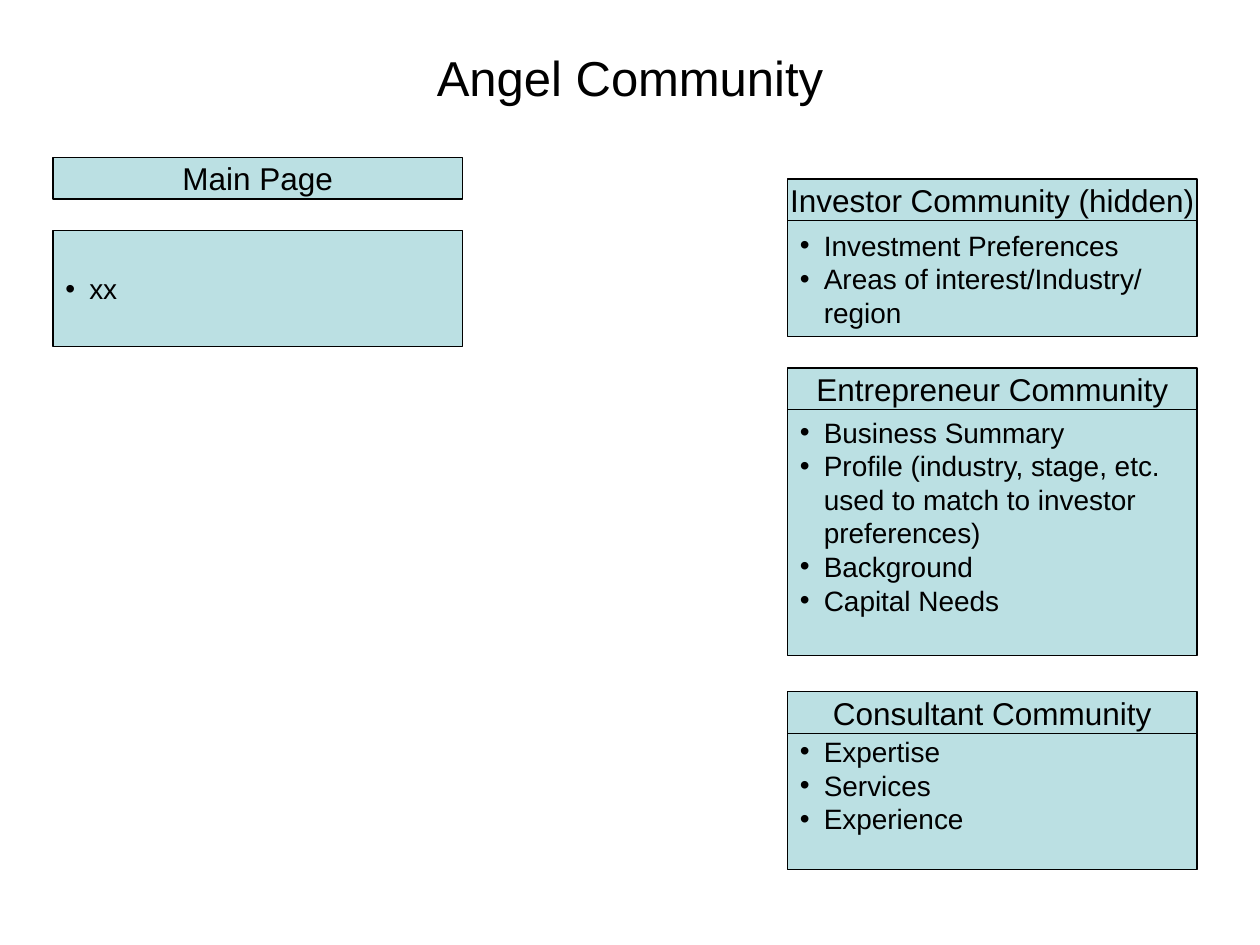
"""Build the Angel Community page outline slide."""
from lxml.etree import SubElement
from pptx import Presentation
from pptx.dml.color import RGBColor
from pptx.enum.shapes import MSO_SHAPE
from pptx.enum.text import MSO_ANCHOR, PP_ALIGN
from pptx.oxml.ns import qn
from pptx.util import Inches, Pt

BLACK = RGBColor(0x00, 0x00, 0x00)
PALE_TEAL = RGBColor(0xBB, 0xE0, 0xE3)
WIDTH, HEADER_HEIGHT = 3.25, 0.33
LEFT_COL, RIGHT_COL = 0.42, 6.25
SPARE_LINE = 0.26


def write(sp, lines, size, frame, bullets=False):
    tf = sp.text_frame
    for name, value in frame.items():
        setattr(tf, name, value)
    for i, line in enumerate(lines):
        p = tf.paragraphs[0] if i == 0 else tf.add_paragraph()
        p.alignment = PP_ALIGN.LEFT if bullets else PP_ALIGN.CENTER
        r = p.add_run()
        r.text = line
        for name, value in {"name": "Arial", "size": Pt(size)}.items():
            setattr(r.font, name, value)
        r.font.color.rgb = BLACK
        if bullets:
            pPr = p._p.get_or_add_pPr()
            pPr.set("marL", str(Inches(0.19)))
            pPr.set("indent", str(Inches(-0.19)))
            SubElement(pPr, qn("a:buFont"), typeface="Arial")
            SubElement(pPr, qn("a:buChar"), char="•")


def add_box(s, left, top, height):
    sp = s.shapes.add_shape(MSO_SHAPE.RECTANGLE, Inches(left), Inches(top),
                            Inches(WIDTH), Inches(height))
    sp.shadow.inherit = False
    sp.fill.solid()
    sp.fill.fore_color.rgb = PALE_TEAL
    sp.line.color.rgb = BLACK
    sp.line.width = Pt(0.75)
    return sp


prs = Presentation()
prs.slide_width, prs.slide_height = Inches(10), Inches(7.5)
s = prs.slides.add_slide(prs.slide_layouts[6])

title = s.shapes.add_textbox(Inches(0.5), Inches(0.3), Inches(9), Inches(0.62))
write(title, ["Angel Community"], 28,
      {"word_wrap": True, "vertical_anchor": MSO_ANCHOR.MIDDLE})

sections = [
    ("Main Page", LEFT_COL, 1.25, 0.25, 0.92, 0, ["xx"]),
    ("Investor Community (hidden)", RIGHT_COL, 1.42, 0, 0.92, 0,
     ["Investment Preferences", "Areas of interest/Industry/ region"]),
    ("Entrepreneur Community", RIGHT_COL, 2.92, 0, 1.95, SPARE_LINE,
     ["Business Summary",
      "Profile (industry, stage, etc. used to match to investor preferences)",
      "Background", "Capital Needs"]),
    ("Consultant Community", RIGHT_COL, 5.49, 0, 1.08, SPARE_LINE,
     ["Expertise", "Services", "Experience"]),
]

for heading, left, top, gap, height, spare, items in sections:
    header = add_box(s, left, top, HEADER_HEIGHT)
    write(header, [heading], 18,
          {"word_wrap": False, "vertical_anchor": MSO_ANCHOR.MIDDLE})
    body = add_box(s, left, top + HEADER_HEIGHT + gap, height)
    write(body, items, 16,
          {"word_wrap": True, "vertical_anchor": MSO_ANCHOR.MIDDLE,
           "margin_top": Inches(0.02), "margin_bottom": Inches(0.02 + spare)},
          bullets=True)

prs.save("out.pptx")
